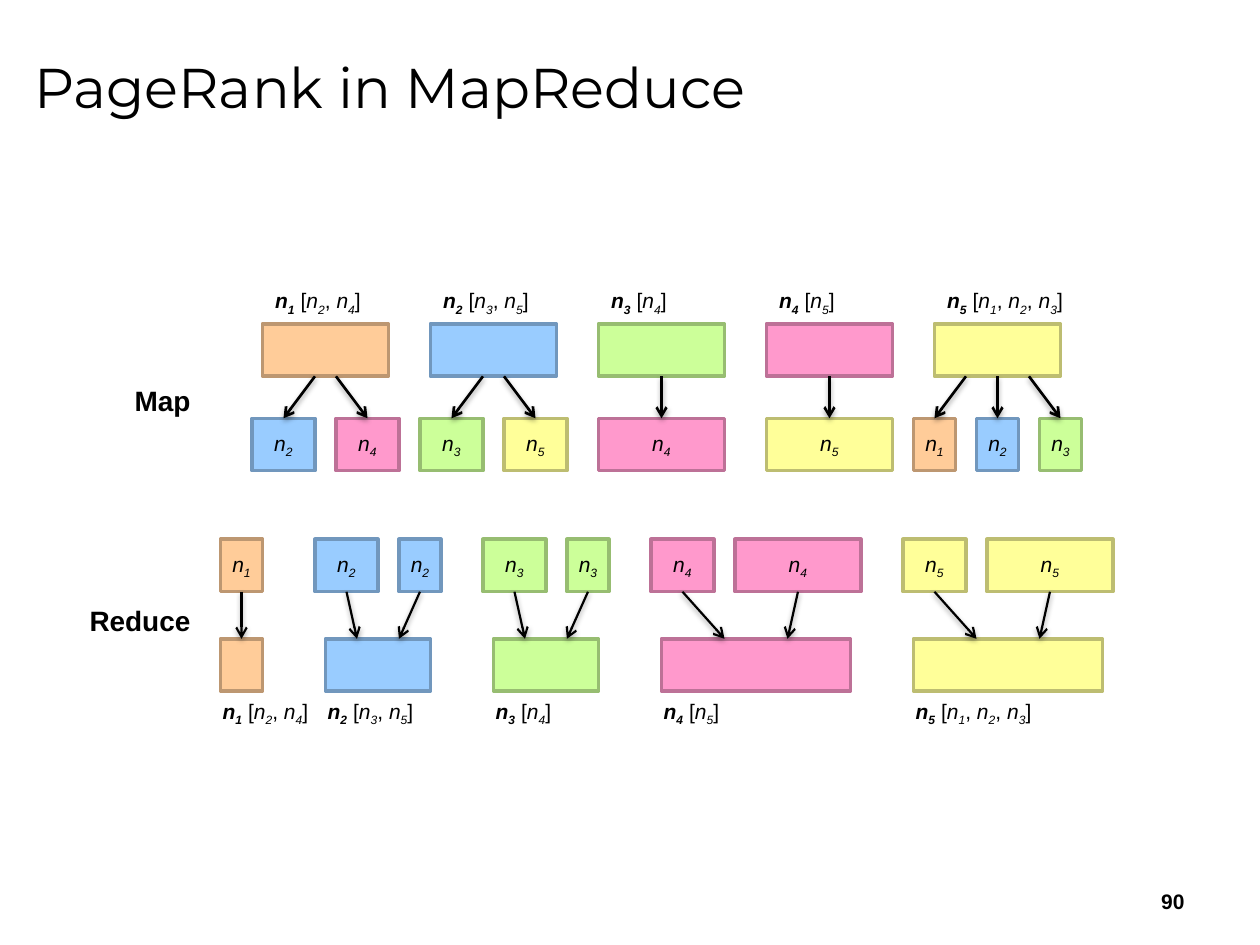
from lxml import etree
from pptx import Presentation
from pptx.dml.color import RGBColor
from pptx.enum.shapes import MSO_CONNECTOR, MSO_SHAPE
from pptx.enum.text import MSO_ANCHOR, PP_ALIGN
from pptx.oxml.ns import qn
from pptx.util import Inches, Pt

RECT, LINE = MSO_SHAPE.RECTANGLE, MSO_CONNECTOR.STRAIGHT
MID = MSO_ANCHOR.MIDDLE
LEFT, MITTE, RIGHT = PP_ALIGN.LEFT, PP_ALIGN.CENTER, PP_ALIGN.RIGHT

# Content: fill and outline of each node, and its links
HUES = {1: ("FFCC99", "BD9771"), 2: ("99CCFF", "7197BD"), 3: ("CCFF99", "97BD71"),
        4: ("FF99CC", "BD7197"), 5: ("FFFF99", "BDBD71")}
LINKS = {1: [2, 4], 2: [3, 5], 3: [4], 4: [5], 5: [1, 2, 3]}
# Reduce groups: node, first column, label column, part widths, arrow spread
GROUPS = [(1, 21, 20, [4], 0), (2, 30, 30, [6, 4], 4), (3, 46, 46, [6, 4], 4),
          (4, 62, 62, [6, 12], 6), (5, 86, 86, [6, 12], 6)]
SIDES = [("Map", 0.96, 2.99, 0.65), ("Reduce", 0.6, 4.74, 1.01)]

# Grid: columns of 1/12 inch, rows in inches
COL = 1 / 12
HIGH, GAP, WIDE = 5 * COL, 2, 12
MAP_TOP, MAP_LOW, RED_TOP, RED_LOW = 2.57, 3.32, 4.28, 5.07
TAG_TOP, TAG_LOW = 2.25, 5.51
NO_STYLE = "{2D5ABB26-0587-4C30-8999-92F81FD0307C}"

prs = Presentation()
prs.slide_width, prs.slide_height = Inches(10), Inches(7.5)
slide = prs.slides.add_slide(prs.slide_layouts[5])
shapes = slide.shapes


def color(code):
    return RGBColor.from_string(code)


def write(para, text, size=12, bold=False, italic=False, sub=False, font="Arial"):
    run = para.add_run()
    run.text = text
    run.font.size, run.font.name = Pt(size), font
    run.font.bold, run.font.italic = bold, italic
    run.font.color.rgb = color("000000")
    if sub:
        run.font._element.set("baseline", "-25000")


def name(para, node, bold=False):
    write(para, "n", bold=bold, italic=True)
    write(para, str(node), bold=bold, italic=True, sub=True)


def tag(node, col, top):
    """Node name followed by its list of links."""
    frame = shapes.add_table(1, 1, Inches(col * COL), Inches(top), Inches(1.58), Inches(0.31))
    table = frame.table
    table.first_row = table.horz_banding = False
    table._tbl.tblPr.find(qn("a:tableStyleId")).text = NO_STYLE
    cell = table.cell(0, 0)
    cell.fill.background()
    para = cell.text_frame.paragraphs[0]
    name(para, node, bold=True)
    for i, link in enumerate(LINKS[node]):
        write(para, ", " if i else " [")
        name(para, link)
    write(para, "]")


def box(node, col, top, wide, named=False):
    shape = shapes.add_shape(RECT, Inches(col * COL), Inches(top), Inches(wide * COL), Inches(HIGH))
    shape.shadow.inherit = False
    fill, edge = HUES[node]
    shape.fill.solid()
    shape.fill.fore_color.rgb = color(fill)
    shape.line.color.rgb = color(edge)
    shape.line.width = Pt(2)
    if named:
        frame = shape.text_frame
        frame.margin_left = frame.margin_right = frame.margin_top = frame.margin_bottom = 0
        frame.word_wrap, frame.vertical_anchor = False, MID
        frame.paragraphs[0].alignment = MITTE
        name(frame.paragraphs[0], node)
    return shape


def arrow(upper, lower, start=0, end=0, width=1.5):
    """Bottom of upper to top of lower, shifted by columns from their centres."""
    x1, x2 = (s.left + s.width // 2 + Inches(d * COL) for s, d in ((upper, start), (lower, end)))
    link = shapes.add_connector(LINE, x1, upper.top + upper.height, x2, lower.top)
    if not start:
        link.begin_connect(upper, 2)
    if not end:
        link.end_connect(lower, 0)
    link.line.color.rgb = color("000000")
    link.line.width = Pt(width)
    etree.SubElement(link.line._get_or_add_ln(), qn("a:tailEnd"), type="arrow")
    effects = etree.SubElement(link._element.spPr, qn("a:effectLst"))
    shade = etree.SubElement(effects, qn("a:outerShdw"), blurRad=str(Pt(3.1)),
                             dist=str(Pt(1.6)), dir="5400000", rotWithShape="0")
    tint = etree.SubElement(shade, qn("a:srgbClr"), val="000000")
    etree.SubElement(tint, qn("a:alpha"), val="38000")


def label(text, left, top, wide, high, size, wrap):
    frame = shapes.add_textbox(Inches(left), Inches(top), Inches(wide), Inches(high)).text_frame
    frame.word_wrap = wrap
    frame.vertical_anchor = MID
    frame.paragraphs[0].alignment = RIGHT
    write(frame.paragraphs[0], text, size, bold=True)


# Title
title = shapes.title
title.left, title.top, title.width, title.height = map(Inches, (0.17, 0.12, 9.5, 1.12))
title.text_frame.vertical_anchor = MID
title.text_frame.paragraphs[0].alignment = LEFT
write(title.text_frame.paragraphs[0], "PageRank in MapReduce", 32, font="Montserrat")

# Map: each node splits its weight evenly among its links
for i, (node, links) in enumerate(LINKS.items()):
    col, count = 25 + 16 * i, len(links)
    part = WIDE // count
    tag(node, col, TAG_TOP)
    source = box(node, col, MAP_TOP, WIDE)
    first = col - (count - 1) * GAP / 2
    for j, link in enumerate(links):
        share = box(link, first + j * (part + GAP), MAP_LOW, part, named=True)
        arrow(source, share, start=(j - (count - 1) / 2) * count)

# Reduce: the parts of each node add up to its new weight
for node, col, tag_col, parts, spread in GROUPS:
    count, total = len(parts), sum(parts)
    result = box(node, col + (count - 1) * GAP / 2, RED_LOW, total)
    for j, part in enumerate(parts):
        share = box(node, col + sum(parts[:j]) + j * GAP, RED_TOP, part, named=True)
        arrow(share, result, end=(j - (count - 1) / 2) * spread, width=1.25)
    tag(node, tag_col, TAG_LOW)

# Side labels and page number
for text, left, top, wide in SIDES:
    label(text, left, top, wide, 0.37, 16, False)
label("90", 7.17, 6.95, 2.33, 0.4, 12, True)

prs.save("out.pptx")
